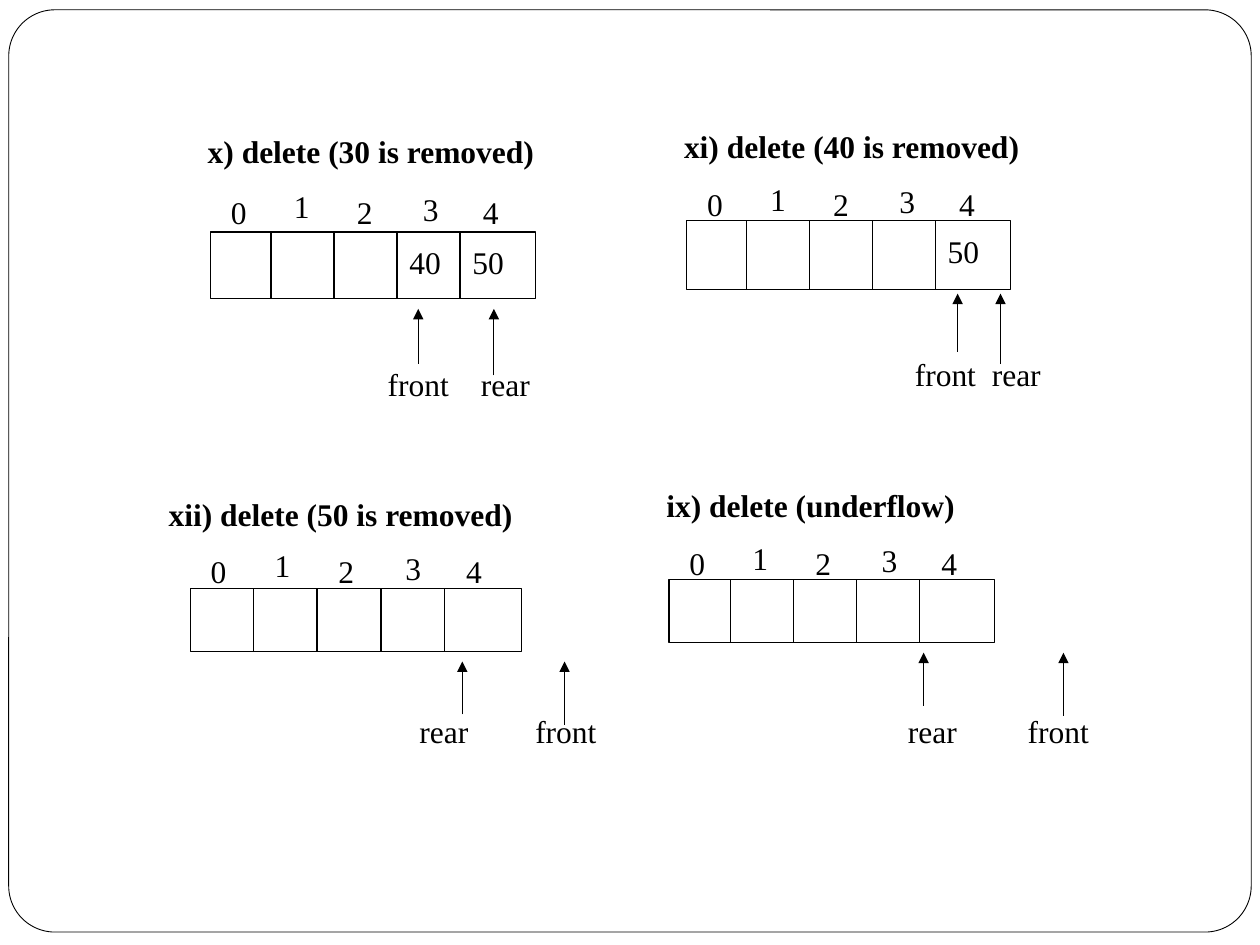
from pptx import Presentation
from pptx.dml.color import RGBColor
from pptx.enum import shapes, text
from pptx.oxml import ns, xmlchemy
from pptx.util import Pt

INK = {"line": "000000", "text": "000000"}
FONT = "Times New Roman"
TALL = 28.8
WIDE = {"digit": 23, "value": 32.4, "front": 49.2, "rear": 42.5}
DROPS = [0, -3, 0, -1.5, 0]   # vertical stagger of the index digits
NUDGE = [0, 0, 0, 1.8, 0]     # sideways stagger of the index digits

# box: left, top, width, height; cell: first width, then step
# marks: word, word left, arrow x, arrow tail; measured from the box
# left edge and the box bottom
QUEUES = [
    dict(title="x) delete (30 is removed)", shift=(-8.6, -60.5), span=224.6,
         box=(120.2, 132.5, 185.8, 38), cell=(34.6, 36), index=-25.9,
         values={3: "40", 4: "50"}, tip=6, base=34.6,
         marks=[("front", 94.3, 118.8, 37.5), ("rear", 147.5, 162, 44)]),
    dict(title="xi) delete (40 is removed)", shift=(-8.6, -56.9), span=235.4,
         box=(392.4, 126, 185, 39.6), cell=(34, 36), index=-23.8,
         values={4: "50"}, tip=2.2, base=33.8,
         marks=[("front", 123.3, 154.8, 35.3), ("rear", 167.3, 179.3, 42.5)]),
    dict(title="ix) delete (underflow)", shift=(-8.6, -56.9), span=200.2,
         box=(382.3, 331.2, 185.8, 36), cell=(35.3, 36), index=-23.8,
         values={}, tip=5.8, base=36,
         marks=[("rear", 129.4, 145.5, 36), ("front", 197.9, 225.4, 41.8)]),
    dict(title="xii) delete (50 is removed)", shift=(-19.4, -56.8), span=215.3,
         box=(108.7, 336.2, 189.4, 36), cell=(36, 36.5), index=-24.5,
         values={}, tip=5.8, base=31,
         marks=[("rear", 123.9, 155.5, 36), ("front", 190.1, 213.9, 41.8)]),
]


def color(key):
    return RGBColor.from_string(INK[key])


def outline(slide, kind, box, width):
    item = slide.shapes.add_shape(kind, *map(Pt, box))
    item.shadow.inherit = False
    item.fill.background()
    item.line.color.rgb = color("line")
    item.line.width = Pt(width)
    return item


def label(slide, words, left, top, width, bold=False):
    box = slide.shapes.add_textbox(Pt(left), Pt(top), Pt(width), Pt(TALL))
    frame = box.text_frame
    frame.word_wrap = bold
    frame.auto_size = text.MSO_AUTO_SIZE.SHAPE_TO_FIT_TEXT
    run = frame.paragraphs[0].add_run()
    run.text = words
    run.font.name = FONT
    run.font.size = Pt(18)
    run.font.bold = bold
    run.font.color.rgb = color("text")


def rule(slide, start, end, arrow=False):
    item = slide.shapes.add_connector(
        shapes.MSO_CONNECTOR.STRAIGHT, *map(Pt, (*start, *end)))
    item.line.color.rgb = color("line")
    item.line.width = Pt(0.75)
    if arrow:
        tail = xmlchemy.OxmlElement("a:tailEnd")
        tail.set("type", "triangle")
        item.line._get_or_add_ln().append(tail)
    props = item._element.find(ns.qn("p:spPr"))
    props.append(xmlchemy.OxmlElement("a:effectLst"))


def queue(slide, title, shift, span, box, cell, index, values, tip, base,
          marks):
    """Draw one five-cell queue with its title, indices and pointers."""
    left, top, _, high = box
    foot = top + high
    first, step = cell
    edges = [left] + [left + first + step * k for k in range(4)]
    outline(slide, shapes.MSO_SHAPE.RECTANGLE, box, 0.75)
    label(slide, title, left + shift[0], top + shift[1], span, bold=True)
    for x in edges[1:]:
        rule(slide, (x, top), (x, foot))
    for k, (drop, nudge) in enumerate(zip(DROPS, NUDGE)):
        label(slide, str(k), left + 4.6 + step * k + nudge,
              top + index + drop, WIDE["digit"])
    for k, value in values.items():
        label(slide, value, edges[k], top + 2.9, WIDE["value"])
    for word, at, x, tail in marks:
        rule(slide, (left + x, foot + tail), (left + x, foot + tip), True)
        label(slide, word, left + at, foot + base, WIDE[word])


def main():
    deck = Presentation()
    deck.slide_width, deck.slide_height = Pt(720), Pt(540)
    slide = deck.slides.add_slide(deck.slide_layouts[6])
    border = outline(slide, shapes.MSO_SHAPE.ROUNDED_RECTANGLE,
                     (5, 5.6, 710, 527), 0.5)
    border.adjustments[0] = 0.05
    for data in QUEUES:
        queue(slide, **data)
    deck.save("out.pptx")


if __name__ == "__main__":
    main()
